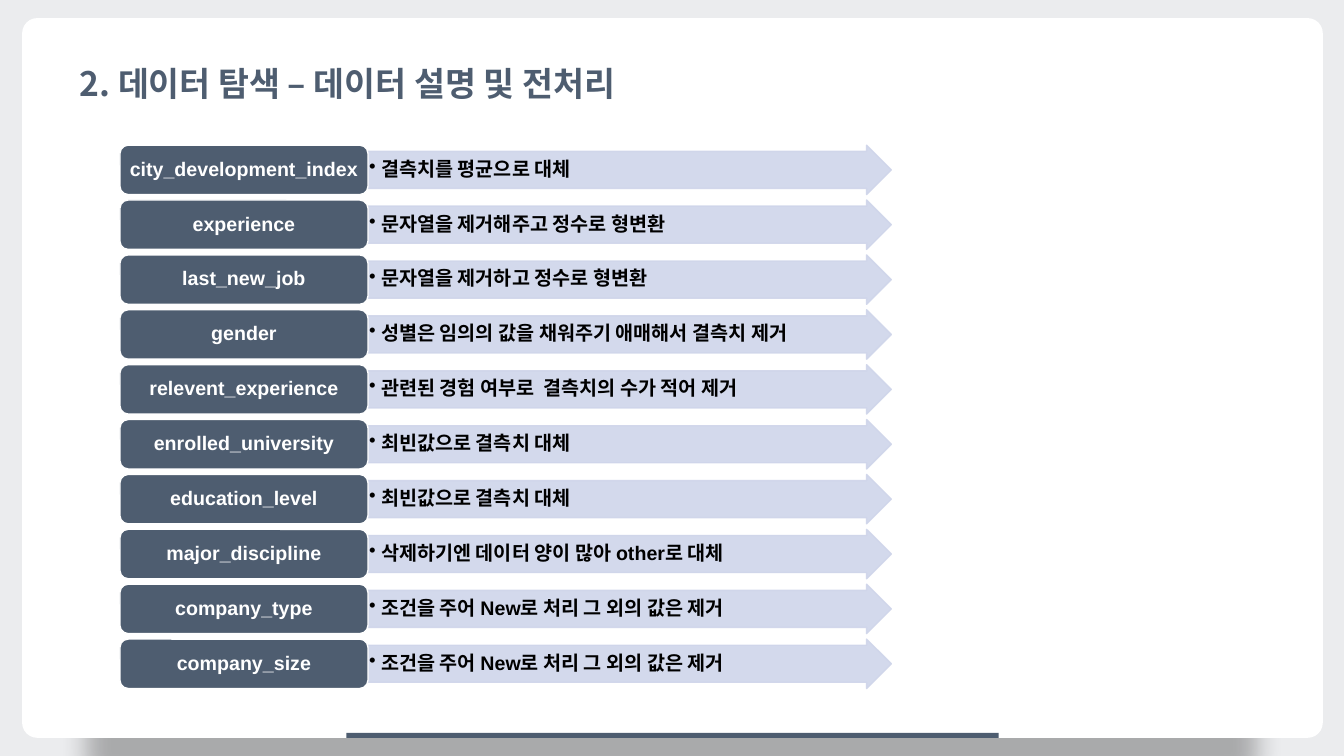
import dataclasses

import lxml.etree
import pptx
import pptx.dml.color
import pptx.enum.shapes
import pptx.enum.text
import pptx.oxml.ns
import pptx.util

Inches = pptx.util.Inches
Pt = pptx.util.Pt
qn = pptx.oxml.ns.qn
SHAPES = pptx.enum.shapes.MSO_SHAPE
ALIGN = pptx.enum.text.PP_ALIGN
ANCHOR = pptx.enum.text.MSO_ANCHOR


@dataclasses.dataclass(frozen=True)
class Theme:
    """Colours, fonts and type sizes of the slide."""
    backdrop: str = "EBECEE"
    white: str = "FFFFFF"
    black: str = "000000"
    slate: str = "4E5D70"
    pale: str = "CFD5EA"
    latin: str = "Arial"
    korean: str = "Noto Sans CJK KR"
    title_size: int = 24
    row_size: int = 14


THEME = Theme()
TITLE = "2. 데이터 탐색 – 데이터 설명 및 전처리"
TREATMENTS = [
    ("city_development_index", "결측치를 평균으로 대체"),
    ("experience", "문자열을 제거해주고 정수로 형변환"),
    ("last_new_job", "문자열을 제거하고 정수로 형변환"),
    ("gender", "성별은 임의의 값을 채워주기 애매해서 결측치 제거"),
    ("relevent_experience", "관련된 경험 여부로  결측치의 수가 적어 제거"),
    ("enrolled_university", "최빈값으로 결측치 대체"),
    ("education_level", "최빈값으로 결측치 대체"),
    ("major_discipline", "삭제하기엔 데이터 양이 많아 other로 대체"),
    ("company_type", "조건을 주어 New로 처리 그 외의 값은 제거"),
    ("company_size", "조건을 주어 New로 처리 그 외의 값은 제거"),
]


def rgb(colour):
    """Turn a hex string into a colour."""
    return pptx.dml.color.RGBColor.from_string(colour)


def child(parent, tag, **attributes):
    """Append a DrawingML element to its parent."""
    return lxml.etree.SubElement(parent, qn(tag), attributes)


def write_text(shape, text, *, size, colour, font=THEME.latin, align=ALIGN.LEFT,
               anchor=ANCHOR.MIDDLE, spacing=0.9, insets=(0.05, 0, 0.05, 0), bullet=False):
    """Write one bold paragraph into a shape."""
    frame = shape.text_frame
    frame.word_wrap = True
    frame.auto_size = pptx.enum.text.MSO_AUTO_SIZE.NONE
    frame.vertical_anchor = anchor
    (frame.margin_left, frame.margin_top,
     frame.margin_right, frame.margin_bottom) = map(Inches, insets)
    paragraph = frame.paragraphs[0]
    paragraph.alignment = align
    paragraph.line_spacing = spacing
    run = paragraph.add_run()
    run.text = text
    run.font.name = font
    run.font.size = Pt(size)
    run.font.bold = True
    run.font.color.rgb = rgb(colour)
    child(run.font._element, "a:ea", typeface=THEME.korean)
    if bullet:
        properties = paragraph._p.get_or_add_pPr()
        properties.set("marL", str(Inches(0.12)))
        properties.set("indent", str(-Inches(0.12)))
        child(properties, "a:buChar", char="•")


def add_block(slide, kind, box, fill, *, line=None, adjustments=(), opacity=None):
    """Draw a filled preset shape in a box given in inches."""
    block = slide.shapes.add_shape(kind, *map(Inches, box))
    block.shadow.inherit = False
    block.fill.solid()
    block.fill.fore_color.rgb = rgb(fill)
    if line:
        block.line.color.rgb = rgb(line)
        block.line.width = Pt(1)
    else:
        block.line.fill.background()
    for index, value in enumerate(adjustments):
        block.adjustments[index] = value
    if opacity:
        for colour in block._element.spPr.iter(qn("a:srgbClr")):
            child(colour, "a:alpha", val=str(opacity * 1000))
    return block


def add_card(slide, box):
    """Draw the white card with its shadow and the accent bar at its foot."""
    left, top, width, height = box
    card = add_block(slide, SHAPES.ROUNDED_RECTANGLE, box, THEME.white, adjustments=[0.021])
    shadow = child(card._element.spPr.find(qn("a:effectLst")), "a:outerShdw",
                   blurRad=str(Pt(19)), dist=str(Pt(55)), dir="5400000",
                   sx="90000", sy="90000", algn="ctr", rotWithShape="0")
    child(child(shadow, "a:srgbClr", val=THEME.black), "a:alpha", val="27000")
    bar_width, bar_height = 6.47, 0.05
    add_block(slide, SHAPES.RECTANGLE,
              (left + (width - bar_width) / 2, top + height - bar_height, bar_width, bar_height),
              THEME.slate)


def add_title(slide, box):
    """Place the title placeholder in front of the card."""
    title = slide.shapes.title
    title.left, title.top, title.width, title.height = map(Inches, box)
    write_text(title, TITLE, size=THEME.title_size, colour=THEME.slate, font=THEME.korean,
               anchor=ANCHOR.TOP, spacing=1.5, insets=(0.1, 0.05, 0.1, 0.05))
    slide.shapes._spTree.append(title._element)


def add_treatments(slide, box):
    """Stack one label and one arrow for each column of the data."""
    left, top, width, height = box
    label_width, row_height = 2.46, 0.49
    pitch = (height - row_height) / (len(TREATMENTS) - 1)
    for index, (column, treatment) in enumerate(TREATMENTS):
        row_top = top + index * pitch
        arrow = add_block(slide, SHAPES.RIGHT_ARROW,
                          (left + label_width, row_top, width - label_width, row_height),
                          THEME.pale, line=THEME.pale, adjustments=[0.75, 0.5], opacity=90)
        write_text(arrow, treatment, size=THEME.row_size, colour=THEME.black,
                   insets=(0.01, 0, 0.2, 0), bullet=True)
        label = add_block(slide, SHAPES.ROUNDED_RECTANGLE,
                          (left, row_top, label_width, row_height),
                          THEME.slate, line=THEME.white, adjustments=[0.167])
        write_text(label, column, size=THEME.row_size, colour=THEME.white, align=ALIGN.CENTER)


def main():
    """Build the slide and save it."""
    deck = pptx.Presentation()
    deck.slide_width, deck.slide_height = Inches(13.33), Inches(7.5)
    slide = deck.slides.add_slide(deck.slide_layouts[5])
    slide.background.fill.solid()
    slide.background.fill.fore_color.rgb = rgb(THEME.backdrop)
    add_card(slide, (0.22, 0.18, 12.9, 7.14))
    add_title(slide, (0.69, 0.37, 7.47, 1.23))
    add_treatments(slide, (1.19, 1.44, 7.65, 5.39))
    deck.save("out.pptx")


if __name__ == "__main__":
    main()
